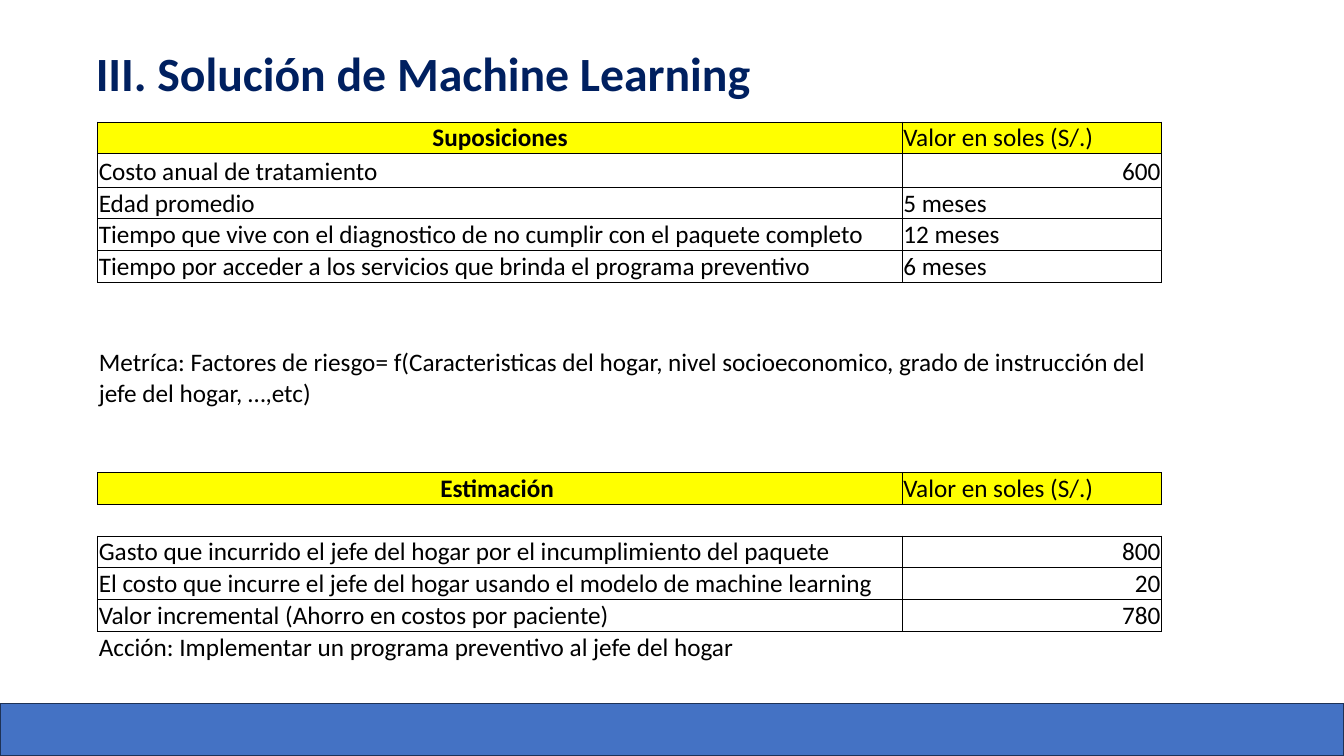
from lxml import etree
from pptx import Presentation
from pptx.dml.color import RGBColor
from pptx.enum.shapes import MSO_SHAPE
from pptx.enum.text import MSO_ANCHOR, MSO_AUTO_SIZE, PP_ALIGN
from pptx.oxml.ns import qn
from pptx.util import Inches, Pt

TITLE = "III. Solución de Machine Learning"
UNIT = "Valor en soles (S/.)"
HEADER, DATA, NOTE, GAP = "header", "data", "note", "gap"
ROWS = [
    (HEADER, "Suposiciones", UNIT),
    (DATA, "Costo anual de tratamiento", "600"),
    (DATA, "Edad promedio", "5 meses"),
    (DATA, "Tiempo que vive con el diagnostico de no cumplir con el paquete completo", "12 meses"),
    (DATA, "Tiempo por acceder a los servicios que brinda el programa preventivo", "6 meses"),
    (GAP, "", ""),
    (GAP, "", ""),
    (NOTE, "Metríca: Factores de riesgo= f(Caracteristicas del hogar, nivel socioeconomico, "
           "grado de instrucción del jefe del hogar, …,etc)", ""),
    (GAP, "", ""),
    (GAP, "", ""),
    (HEADER, "Estimación ", UNIT),
    (GAP, "", ""),
    (DATA, "Gasto que incurrido el jefe del hogar por el incumplimiento del paquete", "800"),
    (DATA, "El costo que incurre el jefe del hogar usando el modelo de machine learning", "20"),
    (DATA, "Valor incremental (Ahorro en costos por paciente)", "780"),
    (NOTE, "Acción: Implementar un programa preventivo al jefe del hogar", ""),
]
METRIC_ROW, TALL_ROW = 7, 1
LAST = len(ROWS) - 1
COL_WIDTHS = [1.33] * 6 + [2.57]
VALUE_COL = len(COL_WIDTHS) - 1
TABLE_H, TALL_H = 5.32, 0.33
ROW_H = (TABLE_H - TALL_H) / len(ROWS)

FONT = "Calibri"
BLACK = RGBColor(0x00, 0x00, 0x00)
YELLOW = RGBColor(0xFF, 0xFF, 0x00)
NAVY = RGBColor(0x00, 0x20, 0x60)
BLUE = RGBColor(0x44, 0x72, 0xC4)
BAR_LINE = RGBColor(0x1E, 0x32, 0x56)
BOTTOM = MSO_ANCHOR.BOTTOM
LEFT, CENTER, RIGHT = PP_ALIGN.LEFT, PP_ALIGN.CENTER, PP_ALIGN.RIGHT
RECT = MSO_SHAPE.RECTANGLE
NO_AUTOFIT = MSO_AUTO_SIZE.NONE


def style_run(r, size, color, bold):
    """Set the font of one run."""
    r.font.name, r.font.size, r.font.bold = FONT, Pt(size), bold
    r.font.color.rgb = color


def is_boxed(row):
    """Tell whether a row has borders on all sides."""
    return 0 <= row <= LAST and ROWS[row][0] in (HEADER, DATA)


def set_borders(cell, row):
    """Draw black edges around boxed rows and none elsewhere."""
    boxed = is_boxed(row)
    edges = {"a:lnL": boxed, "a:lnR": boxed,
             "a:lnT": boxed or is_boxed(row - 1), "a:lnB": boxed or is_boxed(row + 1)}
    tcPr = cell._tc.get_or_add_tcPr()
    for i, (tag, visible) in enumerate(edges.items()):
        ln = etree.Element(qn(tag), w=str(Pt(0.5)))
        if visible:
            fill = etree.SubElement(ln, qn("a:solidFill"))
            etree.SubElement(fill, qn("a:srgbClr"), val=str(BLACK))
        else:
            etree.SubElement(ln, qn("a:noFill"))
        tcPr.insert(i, ln)


def write_cell(cell, text, align, bold):
    """Write one styled line of text into a cell."""
    cell.text_frame.text = text
    p = cell.text_frame.paragraphs[0]
    p.alignment = align
    for r in p.runs:
        style_run(r, 18, BLACK, bold)


def add_cost_table(slide):
    """Build the table of assumptions and estimates."""
    frame = slide.shapes.add_table(len(ROWS), len(COL_WIDTHS), Inches(0.97), Inches(1.21),
                                   Inches(sum(COL_WIDTHS)), Inches(TABLE_H))
    table = frame.table
    table.first_row = table.horz_banding = False
    for col, width in zip(table.columns, COL_WIDTHS):
        col.width = Inches(width)
    heights = {TALL_ROW: TALL_H, METRIC_ROW: 2 * ROW_H}
    last_label_col = {METRIC_ROW: VALUE_COL, LAST: VALUE_COL - 2}
    for i, (kind, label, value) in enumerate(ROWS):
        table.rows[i].height = Inches(heights.get(i, ROW_H))
        for j in range(len(COL_WIDTHS)):
            cell = table.cell(i, j)
            cell.margin_left = cell.margin_right = cell.margin_top = Inches(0.01)
            cell.margin_bottom = 0
            cell.vertical_anchor = BOTTOM
            if kind == HEADER:
                cell.fill.solid()
                cell.fill.fore_color.rgb = YELLOW
            else:
                cell.fill.background()
            set_borders(cell, i)
        if kind == GAP:
            continue
        label_cell = table.cell(i, 0)
        label_cell.merge(table.cell(i, last_label_col.get(i, VALUE_COL - 1)))
        header = kind == HEADER
        write_cell(label_cell, label, CENTER if header else LEFT, header)
        if value:
            write_cell(table.cell(i, VALUE_COL), value, RIGHT if value.isdigit() else LEFT, False)


def main():
    """Build the slide and save it."""
    prs = Presentation()
    prs.slide_width, prs.slide_height = Inches(13.33), Inches(7.5)
    slide = prs.slides.add_slide(prs.slide_layouts[5])

    add_cost_table(slide)

    bar = slide.shapes.add_shape(RECT, 0, Inches(6.98), prs.slide_width, Inches(0.52))
    bar.shadow.inherit = False
    bar.fill.solid()
    bar.fill.fore_color.rgb = BLUE
    bar.line.color.rgb = BAR_LINE
    bar.line.width = Pt(1)

    title = slide.shapes.title
    title.left, title.top, title.width, title.height = map(Inches, (0.85, 0.13, 10, 0.93))
    tf = title.text_frame
    tf.text = TITLE
    tf.word_wrap = True
    tf.auto_size = NO_AUTOFIT
    tf.vertical_anchor = BOTTOM
    p = tf.paragraphs[0]
    p.alignment, p.line_spacing = LEFT, 0.9
    style_run(p.runs[0], 34.1, NAVY, True)

    prs.save("out.pptx")


if __name__ == "__main__":
    main()
